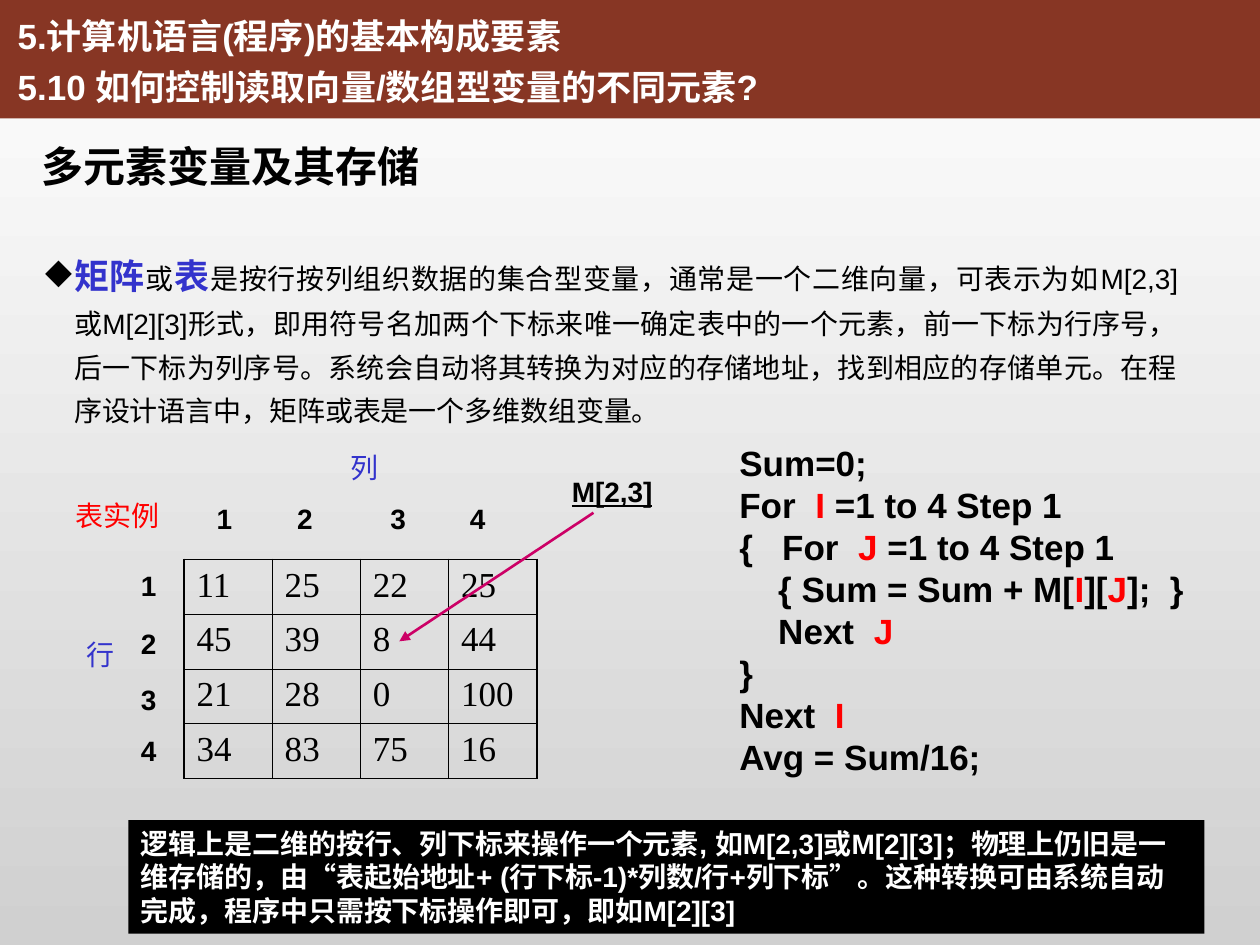
from lxml import etree
from pptx import Presentation
from pptx import util as u
from pptx.dml.color import RGBColor
from pptx.enum import shapes, text
from pptx.oxml.ns import qn

BLACK, WHITE, RED, BLUE = "000000", "FFFFFF", "FF0000", "3333CC"
BROWN, GREY, MAGENTA = "873624", "D0D0D0", "CC0066"
CJK = "Noto Sans CJK SC"

HEADER = ["5.计算机语言(程序)的基本构成要素",
          "5.10 如何控制读取向量/数组型变量的不同元素?"]
TOPIC = "多元素变量及其存储"
DEFINITION = [
    ("矩阵", True), ("或", False), ("表", True),
    ("是按行按列组织数据的集合型变量，通常是一个二维向量，可表示为如M[2,3]或M[2][3]形式，"
     "即用符号名加两个下标来唯一确定表中的一个元素，前一下标为行序号，后一下标为列序号。"
     "系统会自动将其转换为对应的存储地址，找到相应的存储单元。"
     "在程序设计语言中，矩阵或表是一个多维数组变量。", False)]
MATRIX = [[11, 25, 22, 25], [45, 39, 8, 44], [21, 28, 0, 100], [34, 83, 75, 16]]
COLUMN_LEFTS = [1.62, 2.26, 3, 3.63]
ROW_TOPS = [4.46, 4.92, 5.37, 5.77]
CODE = ["Sum=0;",
        "For  |I |=1 to 4 Step 1",
        "{   For  |J| =1 to 4 Step 1",
        "    { Sum = Sum + M[|I|][|J|];  }",
        "    Next  |J",
        "}",
        "Next  |I",
        "Avg = Sum/16;"]
SUMMARY = [
    ("逻辑上是二维的按行、列下标来操作一个元素, 如M[2,3]或M[2][3]；物理上仍旧是一维存储的，由", "Arial"),
    ("“", CJK), ("表起始地址+ (行下标-1)*列数/行+列下标", "Arial"), ("”", CJK),
    ("。这种转换可由系统自动完成，程序中只需按下标操作即可，即如M[2][3]", "Arial")]


def rgb(value):
    return RGBColor.from_string(value)


def style(font, size=None, color=None, name=None, bold=None):
    if size:
        font.size = u.Pt(size)
    if color:
        font.color.rgb = rgb(color)
    if name:
        font.name = name
    if bold is not None:
        font.bold = bold


def add_frame(slide, left, top, width, height):
    box = slide.shapes.add_textbox(*map(u.Inches, (left, top, width, height)))
    box.text_frame.word_wrap = True
    return box.text_frame


def add_label(slide, words, left, top, width, height=0.37, size=16,
              color=BLACK, name="Arial", bold=True):
    line = add_frame(slide, left, top, width, height).paragraphs[0]
    line.text = words
    style(line.font, size, color, name, bold)
    return line


def add_bar(slide, left, top, width, height, color):
    bar = slide.shapes.add_shape(shapes.MSO_SHAPE.RECTANGLE,
                                 *map(u.Inches, (left, top, width, height)))
    bar.shadow.inherit = False
    bar.fill.solid()
    bar.fill.fore_color.rgb = rgb(color)
    bar.line.fill.background()
    return bar


def add_header(slide):
    bar = add_bar(slide, 0, 0, 10, 0.94, BROWN)
    slide.shapes._spTree.insert(2, bar._element)
    title = slide.shapes.title
    title.left, title.top, title.width, title.height = map(u.Inches, (0.04, 0, 6.42, 0.9))
    frame = title.text_frame
    frame.text = "\n".join(HEADER)
    frame.word_wrap = False
    frame.auto_size = text.MSO_AUTO_SIZE.NONE
    frame.vertical_anchor = text.MSO_ANCHOR.TOP
    for line in frame.paragraphs:
        line.alignment = text.PP_ALIGN.LEFT
        line.line_spacing = 1.2
        style(line.font, 20, WHITE, "Arial", True)


def add_definition(slide):
    body = add_frame(slide, 0.26, 1.87, 9.19, 1.58).paragraphs[0]
    body.alignment = text.PP_ALIGN.JUSTIFY
    body.line_spacing = 1.3
    props = body._p.get_or_add_pPr()
    props.set("marL", str(u.Inches(0.23)))
    props.set("indent", str(-u.Inches(0.23)))
    bullet_color = etree.SubElement(props, qn("a:buClr"))
    etree.SubElement(bullet_color, qn("a:srgbClr"), val=BLACK)
    etree.SubElement(props, qn("a:buChar"), char="◆")
    body.font.name = "Arial"
    for words, is_term in DEFINITION:
        run = body.add_run()
        run.text = words
        style(run.font, 20 if is_term else 16, BLUE if is_term else BLACK, bold=is_term)


def add_border(cell, side, points):
    edge = etree.SubElement(cell._tc.get_or_add_tcPr(), qn(f"a:ln{side}"), w=str(u.Pt(points)))
    fill = etree.SubElement(edge, qn("a:solidFill"))
    etree.SubElement(fill, qn("a:srgbClr"), val=BLACK)


def add_matrix(slide):
    last = len(MATRIX) - 1
    table = slide.shapes.add_table(len(MATRIX), len(MATRIX[0]), u.Inches(1.46), u.Inches(4.44),
                                   u.Inches(2.8), u.Inches(1.74)).table
    table.first_row = table.horz_banding = False
    for r, numbers in enumerate(MATRIX):
        for c, number in enumerate(numbers):
            cell = table.cell(r, c)
            outer = {"L": c == 0, "R": c == last, "T": r == 0, "B": r == last}
            for side, is_outer in outer.items():
                add_border(cell, side, 1.08 if is_outer else 0.45)
            cell.fill.background()
            entry = cell.text_frame.paragraphs[0]
            entry.text = str(number)
            style(entry.font, 20, BLACK, "Times New Roman", False)


def add_pointer(slide):
    pointer = slide.shapes.add_connector(shapes.MSO_CONNECTOR.STRAIGHT,
                                         *map(u.Inches, (4.71, 4.07, 3.17, 5.09)))
    pointer.line.color.rgb = rgb(MAGENTA)
    pointer.line.width = u.Pt(1.5)
    etree.SubElement(pointer.line._get_or_add_ln(), qn("a:tailEnd"), type="triangle")
    etree.SubElement(pointer._element.spPr, qn("a:effectLst"))


def add_code(slide):
    frame = add_frame(slide, 5.77, 3.45, 4.06, 2.77)
    frame.vertical_anchor = text.MSO_ANCHOR.MIDDLE
    for i, code_line in enumerate(CODE):
        line = frame.add_paragraph() if i else frame.paragraphs[0]
        style(line.font, 20, name="Arial", bold=True)
        for j, part in enumerate(code_line.split("|")):
            run = line.add_run()
            run.text = part
            style(run.font, color=RED if j % 2 else BLACK)


def add_summary(slide):
    frame = add_bar(slide, 1.02, 6.51, 8.54, 0.9, BLACK).text_frame
    frame.word_wrap = True
    frame.vertical_anchor = text.MSO_ANCHOR.TOP
    body = frame.paragraphs[0]
    body.alignment = text.PP_ALIGN.LEFT
    style(body.font, 16, WHITE, bold=True)
    for words, name in SUMMARY:
        run = body.add_run()
        run.text = words
        style(run.font, name=name)


def main():
    deck = Presentation()
    deck.slide_width, deck.slide_height = u.Inches(10), u.Inches(7.5)
    slide = deck.slides.add_slide(deck.slide_layouts[5])
    backdrop = slide.background.fill
    backdrop.gradient()
    backdrop.gradient_angle = 270
    for stop, color, position in zip(backdrop.gradient_stops, (WHITE, GREY), (0, 1)):
        stop.color.rgb = rgb(color)
        stop.position = position

    add_header(slide)
    add_label(slide, TOPIC, 0.23, 1.07, 4.49, 0.5, size=24)
    add_definition(slide)
    add_matrix(slide)
    for i, (left, top) in enumerate(zip(COLUMN_LEFTS, ROW_TOPS), 1):
        add_label(slide, str(i), left, 3.93, 0.31)
        add_label(slide, str(i), 1.02, top, 0.31)
    add_label(slide, "行", 0.59, 5.01, 0.59, color=BLUE, bold=False)
    add_label(slide, "列", 2.68, 3.53, 0.59, color=BLUE, bold=False)
    example = add_label(slide, "表实例", 0.34, 3.91, 1.18, color=RED, name=CJK, bold=False)
    example.alignment = text.PP_ALIGN.CENTER
    add_label(slide, "M[2,3]", 4.44, 3.72, 0.92).font.underline = True
    add_pointer(slide)
    add_code(slide)
    add_summary(slide)
    deck.save("out.pptx")


if __name__ == "__main__":
    main()
